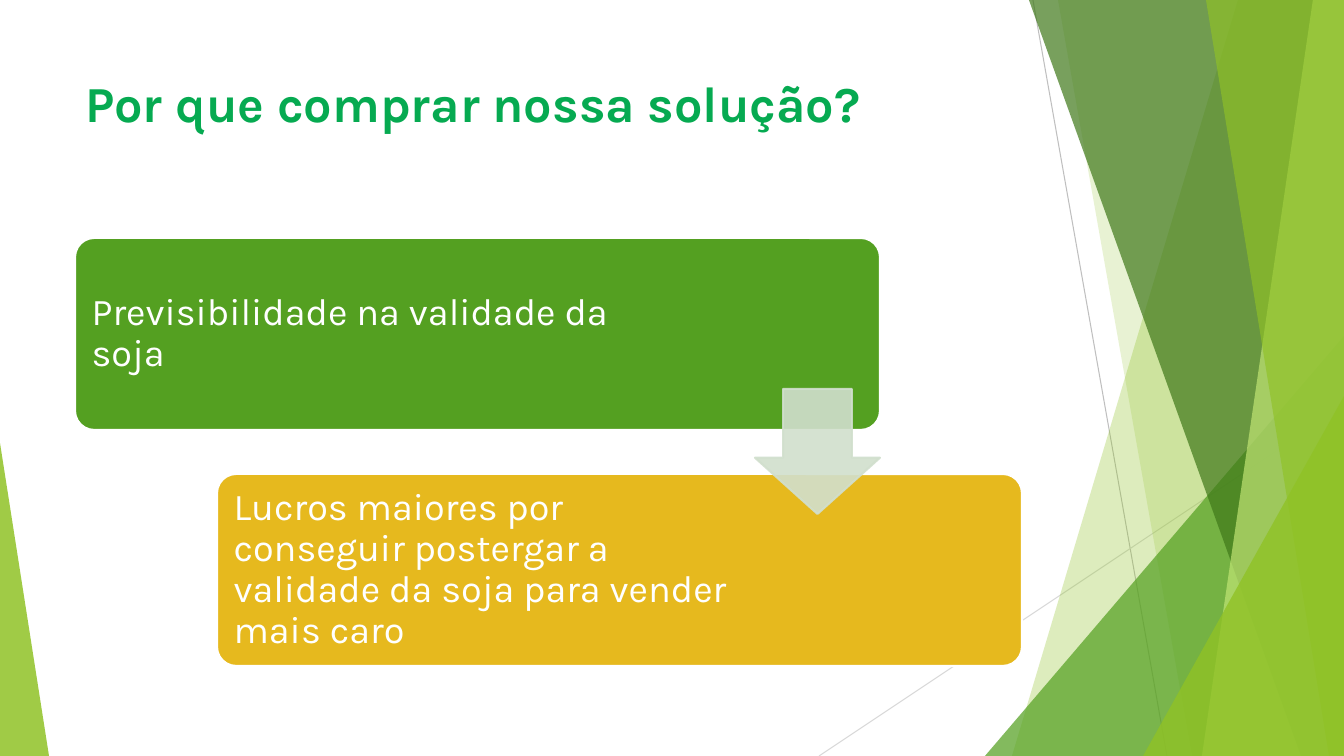
from dataclasses import dataclass

from lxml.etree import SubElement
from pptx import Presentation
from pptx.dml.color import RGBColor
from pptx.enum.shapes import MSO_CONNECTOR, MSO_SHAPE
from pptx.enum.text import MSO_ANCHOR, PP_ALIGN
from pptx.oxml.ns import qn
from pptx.util import Pt

EMU_PER_PX = 914400 / 100.8
PAGE_WIDTH, PAGE_HEIGHT = 1344, 756


@dataclass(frozen=True)
class Theme:
    font: str = "Karla"
    title_size: int = 36
    card_size: int = 27
    title: str = "06AA51"
    white: str = "FFFFFF"
    green: str = "54A021"
    gold: str = "E6B91E"
    arrow: str = "D1DFCD"
    lime: str = "90C226"
    pale_lime: str = "C0E474"
    forest: str = "3F7819"
    dark_rule: str = "BFBFBF"
    light_rule: str = "D9D9D9"


THEME = Theme()


def px(length):
    return round(length * EMU_PER_PX)


def set_opacity(shape, percent):
    """Make the fill and line colours of a shape translucent."""
    for color in shape._element.spPr.iter(qn("a:srgbClr")):
        SubElement(color, qn("a:alpha")).set("val", str(percent * 1000))


def paint(shape, color, opacity=100, line=None):
    shape.shadow.inherit = False
    shape.fill.solid()
    shape.fill.fore_color.rgb = RGBColor.from_string(color)
    if line:
        shape.line.width = Pt(1.5)
        shape.line.color.rgb = RGBColor.from_string(line)
    else:
        shape.line.fill.background()
    if opacity < 100:
        set_opacity(shape, opacity)


def add_preset(page, kind, box, adjustments, color, **style):
    shape = page.shapes.add_shape(kind, *map(px, box))
    for index, value in enumerate(adjustments):
        shape.adjustments[index] = value
    paint(shape, color, **style)
    return shape


def write(shape, text, size, color, bold=False, anchor=MSO_ANCHOR.TOP,
          insets=(10, 5, 10, 5), line_spacing=1.0):
    frame = shape.text_frame
    frame.word_wrap = True
    frame.vertical_anchor = anchor
    (frame.margin_left, frame.margin_top,
     frame.margin_right, frame.margin_bottom) = map(px, insets)
    para = frame.paragraphs[0]
    para.alignment = PP_ALIGN.LEFT
    para.line_spacing = line_spacing
    span = para.add_run()
    span.text = text
    span.font.name = THEME.font
    span.font.size = Pt(size)
    span.font.bold = bold
    span.font.color.rgb = RGBColor.from_string(color)


def add_rule(page, start, end, color):
    rule = page.shapes.add_connector(
        MSO_CONNECTOR.STRAIGHT, *map(px, start + end))
    rule.line.width = Pt(0.75)
    rule.line.color.rgb = RGBColor.from_string(color)
    SubElement(rule._element.spPr, qn("a:effectLst"))


def add_band(page, box, top_x, bottom_x, color, opacity):
    """Fill from a slanted left edge to the right side of the box."""
    left, top, width, height = box
    right, bottom = left + width, top + height
    builder = page.shapes.build_freeform(left + top_x, top, scale=EMU_PER_PX)
    builder.add_line_segments([
        (right, top), (right, bottom), (left + bottom_x, bottom)])
    paint(builder.convert_to_shape(), color, opacity)


def add_corner(page, box, tip, color, opacity):
    add_preset(page, MSO_SHAPE.ISOSCELES_TRIANGLE, box, [tip], color,
               opacity=opacity)


def draw_backdrop(page, box):
    left, top, width, height = box
    right, bottom = left + width, top + height

    # Thin crossing rules
    add_rule(page, (left + 1033, top), (left + 1167, bottom), THEME.dark_rule)
    add_rule(page, (right, top + 406), (left + 819, bottom), THEME.light_rule)

    # Overlapping facets on the right
    add_band(page, box, 1238, 1012, THEME.lime, 30)
    add_band(page, box, 1058, 1192, THEME.lime, 20)
    add_corner(page, (right - 359, bottom - 420, 359, 420), 1, THEME.green, 72)
    add_band(page, box, 1029, 1301, THEME.forest, 70)
    add_band(page, box, 1313, 1202, THEME.pale_lime, 70)
    add_band(page, box, 1206, 1329, THEME.lime, 65)
    add_corner(page, (right - 201, bottom - 360, 201, 360), 1, THEME.lime, 80)

    # Wedge on the left
    add_corner(page, (left, bottom - 313, 49, 313), 0, THEME.lime, 85)


def draw_title(page, box, text):
    title = page.shapes.add_textbox(*map(px, box))
    write(title, text, THEME.title_size, THEME.title, bold=True)


def draw_steps(page, box, steps):
    """Cards stepping down from the top left to the bottom right."""
    left, top, width, height = box
    card_width, card_height = 805, 192
    gaps = len(steps) - 1
    step_x = (width - card_width) // gaps
    step_y = (height - card_height) // gaps

    # Cards
    for index, (text, color, right_inset) in enumerate(steps):
        card_box = (left + index * step_x, top + index * step_y,
                    card_width, card_height)
        card = add_preset(page, MSO_SHAPE.ROUNDED_RECTANGLE, card_box, [0.1],
                          color, line=THEME.white)
        write(card, text, THEME.card_size, THEME.white,
              anchor=MSO_ANCHOR.MIDDLE, insets=(11, 0, right_inset, 0),
              line_spacing=0.9)

    # Arrows between cards
    arrow_size = 125
    for index in range(gaps):
        arrow_box = (left + index * step_x + card_width - arrow_size,
                     top + index * step_y + 151, arrow_size, arrow_size)
        add_preset(page, MSO_SHAPE.DOWN_ARROW, arrow_box, [0.55, 0.45],
                   THEME.arrow, opacity=90, line=THEME.arrow)


def main():
    deck = Presentation()
    deck.slide_width, deck.slide_height = px(PAGE_WIDTH), px(PAGE_HEIGHT)
    page = deck.slides.add_slide(deck.slide_layouts[6])
    draw_backdrop(page, (0, 0, PAGE_WIDTH, PAGE_HEIGHT))
    draw_title(page, (75, 67, 947, 145), "Por que comprar nossa solução?")
    draw_steps(page, (75, 238, 947, 428), [
        ("Previsibilidade na validade da soja", THEME.green, 197),
        ("Lucros maiores por conseguir postergar a validade da soja "
         "para vender mais caro", THEME.gold, 277),
    ])
    deck.save("out.pptx")


if __name__ == "__main__":
    main()
